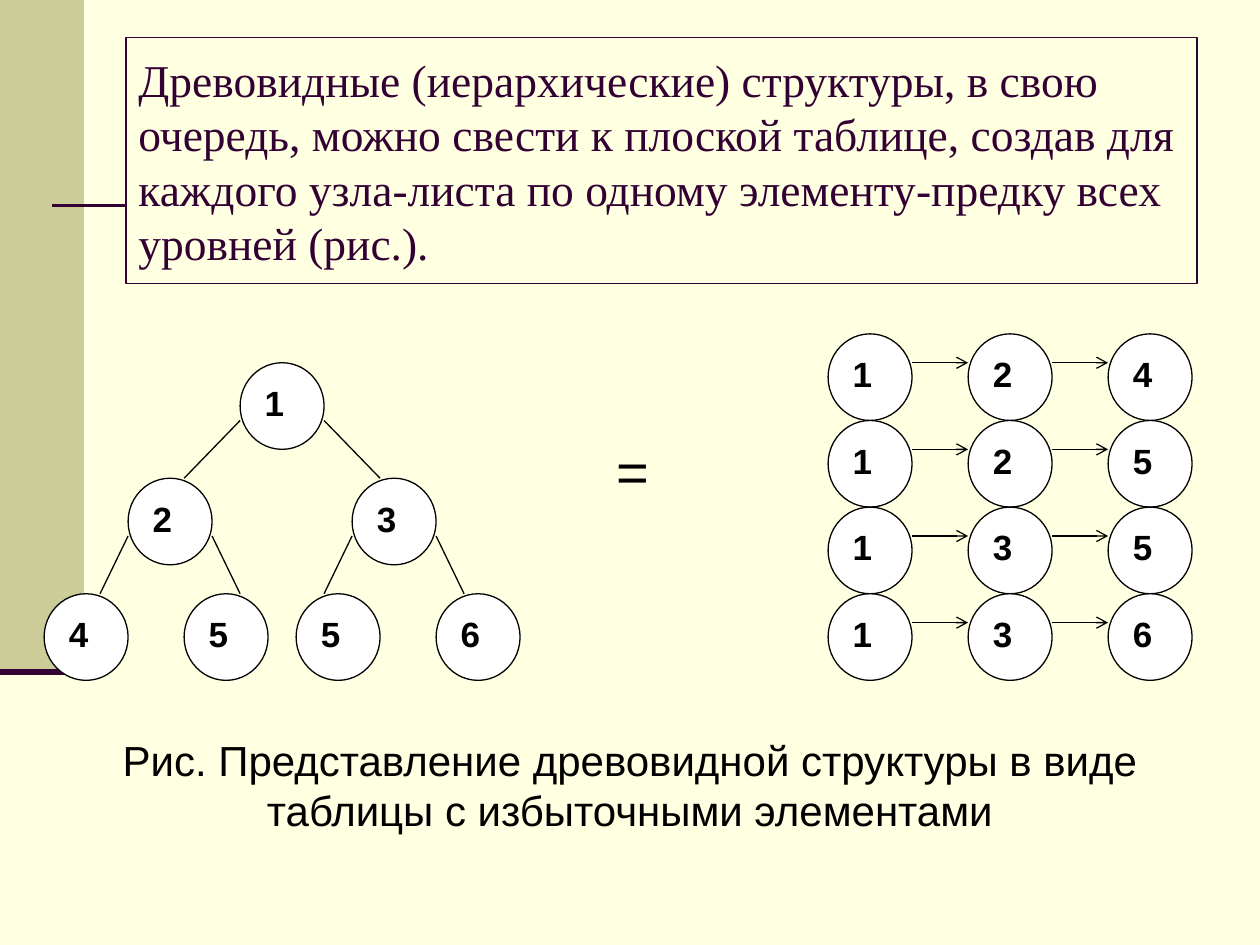
from dataclasses import dataclass

import pptx
import pptx.dml.color
import pptx.enum.shapes
import pptx.enum.text
import pptx.oxml.ns
import pptx.util
from lxml import etree

Pt = pptx.util.Pt
Shapes = pptx.enum.shapes.MSO_SHAPE
Anchor = pptx.enum.text.MSO_ANCHOR
Align = pptx.enum.text.PP_ALIGN


@dataclass(frozen=True)
class Theme:
    background: str = "FFFFE1"
    sidebar: str = "CCCC99"
    accent: str = "330033"
    ink: str = "000000"
    node: str = "FFFFFF"
    title_font: str = "Times New Roman"
    body_font: str = "Arial"
    title_size: float = 26
    equals_size: float = 32
    caption_size: float = 24
    node_size: float = 20
    thin: float = 0.75


THEME = Theme()

GRID_LEFT, GRID_TOP = 25.2, 190.8
UNIT_X, UNIT_Y = 16, 16.5
NODE_UNITS = 3
TABLE_COLUMN, COLUMN_STEP = 28, 5
ROOT_COLUMN = 7

TREE_NODES = [
    ("1", 7, 1), ("2", 3, 5), ("3", 11, 5),
    ("4", 0, 9), ("5", 5, 9), ("5", 9, 9), ("6", 14, 9),
]
TREE_EDGES = [(0, 1), (0, 2), (1, 3), (1, 4), (2, 5), (2, 6)]
TABLE_ROWS = ["124", "125", "135", "136"]

TITLE = ("Древовидные (иерархические) структуры, в свою очередь, можно свести "
         "к плоской таблице, создав для каждого узла-листа по одному "
         "элементу-предку всех уровней (рис.).")
CAPTION = ("Рис. Представление древовидной структуры в виде таблицы "
           "с избыточными элементами")


def color(value):
    return pptx.dml.color.RGBColor.from_string(value)


def grid_point(column, row):
    return GRID_LEFT + column * UNIT_X, GRID_TOP + row * UNIT_Y


def add_box(slide, kind, left, top, width, height, fill, line=None):
    shape = slide.shapes.add_shape(kind, Pt(left), Pt(top), Pt(width), Pt(height))
    shape.shadow.inherit = False
    shape.fill.solid()
    shape.fill.fore_color.rgb = color(fill)
    if line:
        shape.line.color.rgb = color(line)
        shape.line.width = Pt(THEME.thin)
    else:
        shape.line.fill.background()
    return shape


def set_text(shape, text, size, font=THEME.body_font, ink=THEME.ink,
             bold=False, align=Align.LEFT, anchor=Anchor.TOP):
    frame = shape.text_frame
    frame.word_wrap = True
    frame.vertical_anchor = anchor
    frame.text = text
    paragraph = frame.paragraphs[0]
    paragraph.alignment = align
    paragraph.font.name = font
    paragraph.font.size = Pt(size)
    paragraph.font.bold = bold
    paragraph.font.color.rgb = color(ink)


def add_line(slide, start, end, ink=THEME.ink, width=THEME.thin, arrow=False):
    connector = slide.shapes.add_connector(
        pptx.enum.shapes.MSO_CONNECTOR.STRAIGHT, *map(Pt, start + end))
    connector.line.color.rgb = color(ink)
    connector.line.width = Pt(width)
    qualified = pptx.oxml.ns.qn
    if arrow:
        etree.SubElement(connector.line._get_or_add_ln(), qualified("a:tailEnd"),
                         type="arrow")
    etree.SubElement(connector._element.spPr, qualified("a:effectLst"))


def add_node(slide, label, column, row):
    node = add_box(slide, Shapes.OVAL, *grid_point(column, row),
                   NODE_UNITS * UNIT_X, NODE_UNITS * UNIT_Y, THEME.node, THEME.ink)
    set_text(node, label, THEME.node_size, bold=True)


def add_tree(slide):
    for node in TREE_NODES:
        add_node(slide, *node)
    for parent, child in TREE_EDGES:
        _, parent_column, parent_row = TREE_NODES[parent]
        _, child_column, child_row = TREE_NODES[child]
        side = 0 if child_column < parent_column else NODE_UNITS
        entry = 2 if child_column < ROOT_COLUMN else 1
        add_line(slide, grid_point(parent_column + side, parent_row + 2),
                 grid_point(child_column + entry, child_row))


def add_node_table(slide):
    for index, labels in enumerate(TABLE_ROWS):
        row = index * NODE_UNITS
        for position, label in enumerate(labels):
            column = TABLE_COLUMN + position * COLUMN_STEP
            add_node(slide, label, column, row)
            if position:
                add_line(slide, grid_point(column - COLUMN_STEP + NODE_UNITS, row + 1),
                         grid_point(column, row + 1), arrow=True)


def add_decoration(slide):
    add_box(slide, Shapes.RECTANGLE, 0, 0, 48, 384, THEME.sidebar)
    add_line(slide, (30, 117.5), (684, 117.5), THEME.accent, 1.5)
    add_line(slide, (0, 384), (48, 384), THEME.accent, 3.5)


def add_title(slide):
    title = add_box(slide, Shapes.RECTANGLE, 72, 21.6, 612, 140.4,
                    THEME.background, THEME.accent)
    set_text(title, TITLE, THEME.title_size, THEME.title_font, THEME.accent,
             anchor=Anchor.MIDDLE)


def add_equals(slide):
    equals = add_box(slide, Shapes.RECTANGLE, 345, 246.2, 48, 49.5, THEME.background)
    set_text(equals, "=", THEME.equals_size)


def add_caption(slide):
    caption = slide.shapes.add_textbox(Pt(48), Pt(416), Pt(624), Pt(65))
    set_text(caption, CAPTION, THEME.caption_size, align=Align.CENTER,
             anchor=Anchor.MIDDLE)


def main():
    presentation = pptx.Presentation()
    presentation.slide_width, presentation.slide_height = Pt(720), Pt(540)
    slide = presentation.slides.add_slide(presentation.slide_layouts[6])
    slide.background.fill.solid()
    slide.background.fill.fore_color.rgb = color(THEME.background)
    add_decoration(slide)
    add_title(slide)
    add_equals(slide)
    add_tree(slide)
    add_node_table(slide)
    add_caption(slide)
    presentation.save("out.pptx")


if __name__ == "__main__":
    main()
